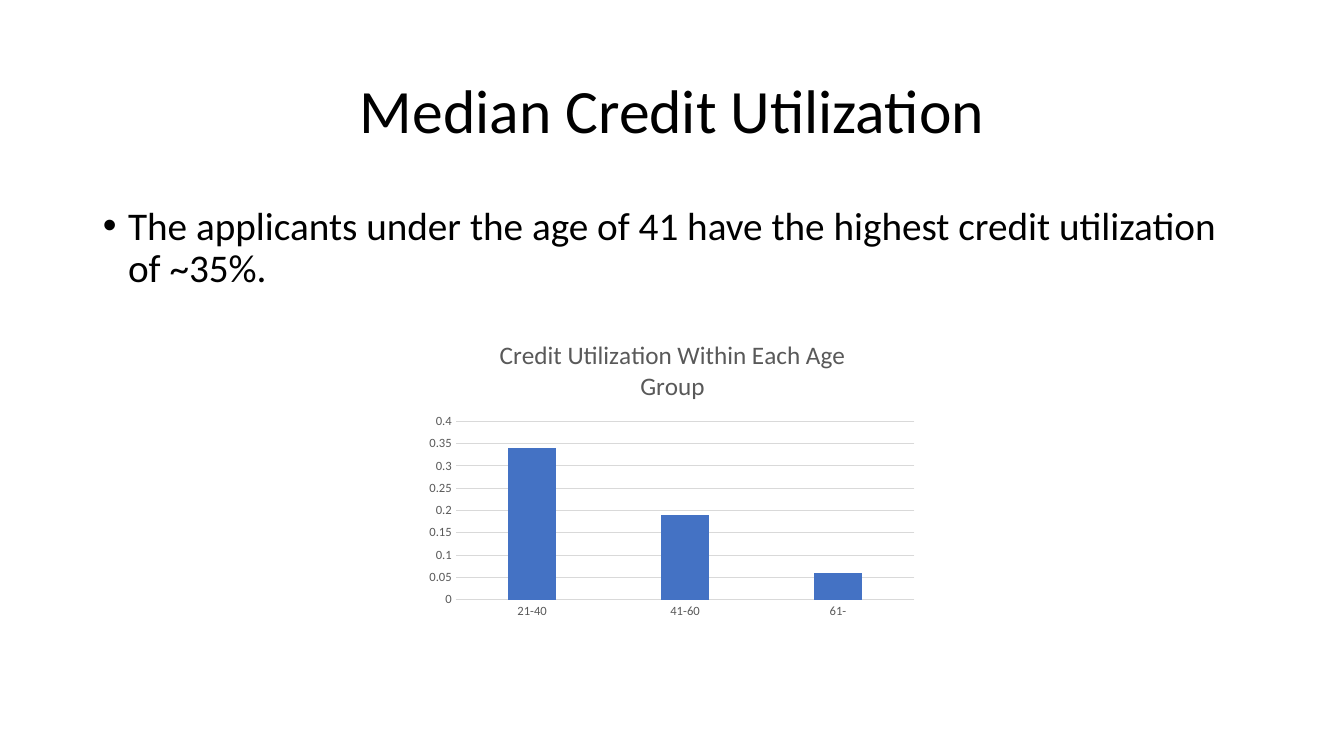
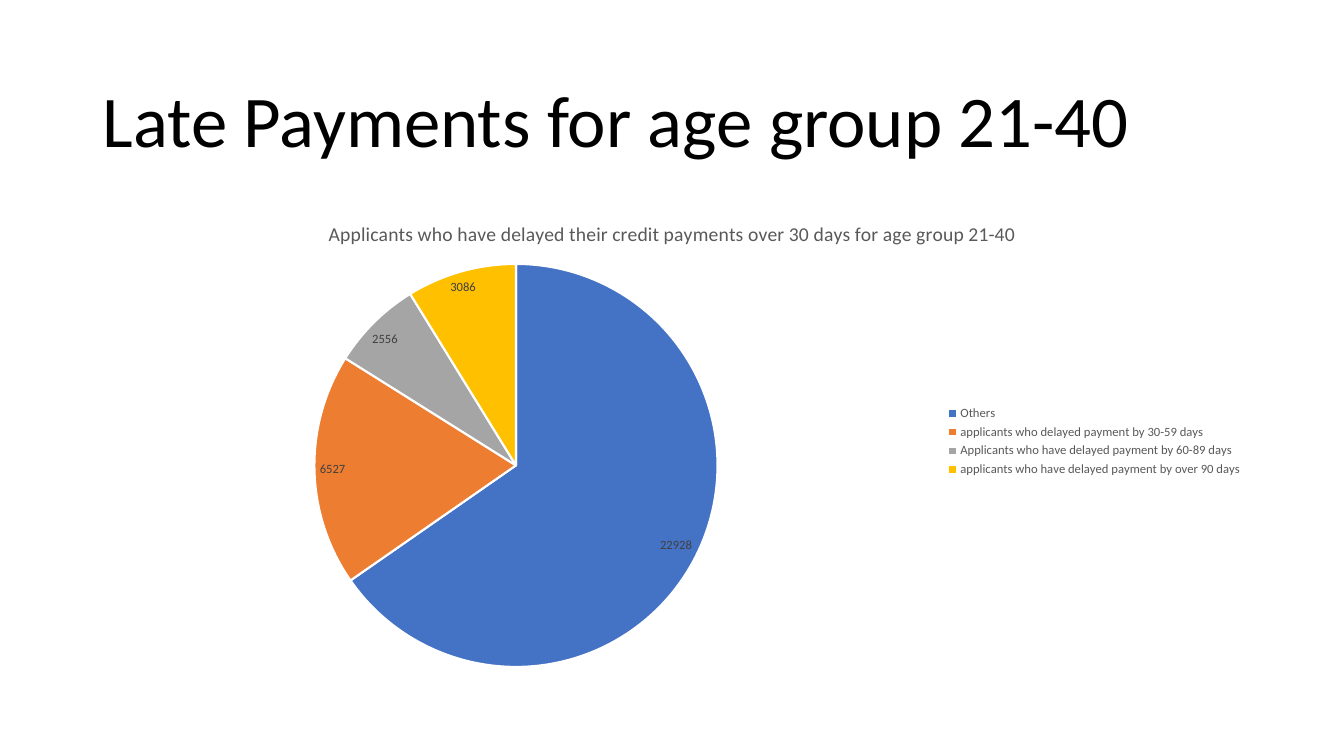
"""Build two slides on credit utilization and late payments by age group."""
from lxml import etree
from pptx import Presentation
from pptx.chart.data import CategoryChartData
from pptx.dml.color import RGBColor
from pptx.enum.chart import XL_CHART_TYPE as ChartType
from pptx.enum.chart import XL_LABEL_POSITION as LabelPosition
from pptx.enum.chart import XL_LEGEND_POSITION as LegendPosition
from pptx.enum.chart import XL_TICK_MARK as TickMark
from pptx.enum.text import MSO_ANCHOR as Anchor
from pptx.enum.text import MSO_AUTO_SIZE as AutoSize
from pptx.enum.text import PP_ALIGN as Align
from pptx.oxml import parse_xml
from pptx.oxml.ns import nsdecls
from pptx.util import Inches, Pt

FONT = "Calibri"
BLACK, GREY, DARK, RULE, WHITE = "000000", "595959", "404040", "D9D9D9", "FFFFFF"
SERIES_COLORS = ["4472C4", "ED7D31", "A5A5A5", "FFC000"]


def color(hex_value):
    return RGBColor.from_string(hex_value)


def set_font(font, size, hex_value):
    values = {"name": FONT, "size": Pt(size), "bold": False}
    for name, value in values.items():
        setattr(font, name, value)
    font.color.rgb = color(hex_value)


presentation = Presentation()
presentation.slide_width, presentation.slide_height = Inches(13.33), Inches(7.5)
layouts = presentation.slide_layouts

pages = [
    {
        "layout": layouts[1],
        "title": "Median Credit Utilization",
        "title_size": 44,
        "title_align": Align.CENTER,
        "title_box": (0.92, 0.4, 11.5, 1.45),
        "body": "The applicants under the age of 41 have the highest credit utilization of ~35%.",
        "type": ChartType.COLUMN_CLUSTERED,
        "chart_box": (4.17, 3.19, 5, 3),
        "chart_title": "Credit Utilization Within Each Age Group",
        "chart_title_size": 18,
        "plot_area": {"x": 0.07, "y": 0.33, "w": 0.91, "h": 0.59},
        "data": {"21-40": 0.34, "41-60": 0.19, "61-": 0.06},
    },
    {
        "layout": layouts[5],
        "title": "Late Payments for age group 21-40",
        "title_size": 52,
        "title_align": Align.LEFT,
        "title_box": (0.92, 0.61, 11.5, 1.24),
        "body": None,
        "type": ChartType.PIE,
        "chart_box": (0.92, 2, 11.5, 4.76),
        "chart_title": "Applicants who have delayed their credit payments over 30 days for age group 21-40",
        "chart_title_size": 14,
        "plot_area": {"x": 0.19, "y": 0.13, "w": 0.35, "h": 0.84},
        "data": {
            "Others": 22928,
            "applicants who delayed payment by 30-59 days": 6527,
            "Applicants who have delayed payment by 60-89 days": 2556,
            "applicants who have delayed payment by over 90 days": 3086,
        },
    },
]

charts = []
for page in pages:
    slide = presentation.slides.add_slide(page["layout"])
    texts = [(slide.shapes.title, page["title"], page["title_box"],
              page["title_size"], page["title_align"], Anchor.MIDDLE, 0)]
    if page["body"]:
        texts.append((slide.placeholders[1], page["body"], (0.92, 2, 11.5, 4.76),
                      28, Align.LEFT, Anchor.TOP, 10))

    for shape, text, box, size, align, anchor, space_before in texts:
        shape.left, shape.top, shape.width, shape.height = map(Inches, box)
        frame = shape.text_frame
        frame.text = text
        frame_format = {"word_wrap": True, "auto_size": AutoSize.NONE, "vertical_anchor": anchor}
        for name, value in frame_format.items():
            setattr(frame, name, value)
        paragraph = frame.paragraphs[0]
        paragraph_format = {"alignment": align, "line_spacing": 0.9, "space_before": Pt(space_before)}
        for name, value in paragraph_format.items():
            setattr(paragraph, name, value)
        set_font(paragraph.runs[0].font, size, BLACK)

    if page["body"]:
        bullet = paragraph._p.get_or_add_pPr()
        bullet.set("marL", str(Inches(0.25)))
        bullet.set("indent", str(Inches(-0.25)))

    chart_data = CategoryChartData()
    chart_data.categories = page["data"].keys()
    chart_data.add_series("Series 1", page["data"].values())
    box = map(Inches, page["chart_box"])
    chart = slide.shapes.add_chart(page["type"], *box, chart_data).chart
    charts.append(chart)
    set_font(chart.font, 10, BLACK)
    chart.has_title = True
    chart.chart_title.include_in_layout = False
    chart.chart_title.text_frame.text = page["chart_title"]
    title_run = chart.chart_title.text_frame.paragraphs[0].runs[0]
    set_font(title_run.font, page["chart_title_size"], GREY)

    plot_area = chart._chartSpace.xpath("./c:chart/c:plotArea")[0]
    for old_layout in plot_area.xpath("./c:layout"):
        plot_area.remove(old_layout)
    layout = parse_xml(f"<c:layout {nsdecls('c')}><c:manualLayout/></c:layout>")
    settings = {"layoutTarget": "inner", "xMode": "edge", "yMode": "edge", **page["plot_area"]}
    namespace = etree.QName(layout).namespace
    for name, value in settings.items():
        etree.SubElement(layout[0], f"{{{namespace}}}{name}").set("val", str(value))
    plot_area.insert(0, layout)

column_chart, pie_chart = charts

column_chart.has_legend = False
columns = column_chart.plots[0]
for name, value in {"gap_width": 219, "overlap": -27, "vary_by_categories": False}.items():
    setattr(columns, name, value)
column_fill = columns.series[0].format.fill
column_fill.solid()
column_fill.fore_color.rgb = color(SERIES_COLORS[0])

category_axis, value_axis = column_chart.category_axis, column_chart.value_axis
for axis in (category_axis, value_axis):
    axis.major_tick_mark = axis.minor_tick_mark = TickMark.NONE
    set_font(axis.tick_labels.font, 9, GREY)
value_axis.has_major_gridlines = True
for line in (category_axis.format.line, value_axis.major_gridlines.format.line):
    line.color.rgb = color(RULE)
    line.width = Pt(0.75)
value_axis.format.line.fill.background()
scale = {"minimum_scale": 0, "maximum_scale": 0.4, "major_unit": 0.05}
for name, value in scale.items():
    setattr(value_axis, name, value)
value_axis.tick_labels.number_format = "General"
value_axis.tick_labels.number_format_is_linked = False

pie_chart.has_legend = True
pie_chart.legend.position = LegendPosition.RIGHT
pie_chart.legend.include_in_layout = False
set_font(pie_chart.legend.font, 9, GREY)
pie = pie_chart.plots[0]
pie.vary_by_categories = True
for index, hex_value in enumerate(SERIES_COLORS):
    wedge = pie.series[0].points[index].format
    wedge.fill.solid()
    wedge.fill.fore_color.rgb = color(hex_value)
    wedge.line.color.rgb = color(WHITE)
    wedge.line.width = Pt(1.5)
labels = pie.series[0].data_labels
for name, value in {"show_value": True, "position": LabelPosition.BEST_FIT}.items():
    setattr(labels, name, value)
set_font(labels.font, 9, DARK)

presentation.save("out.pptx")
